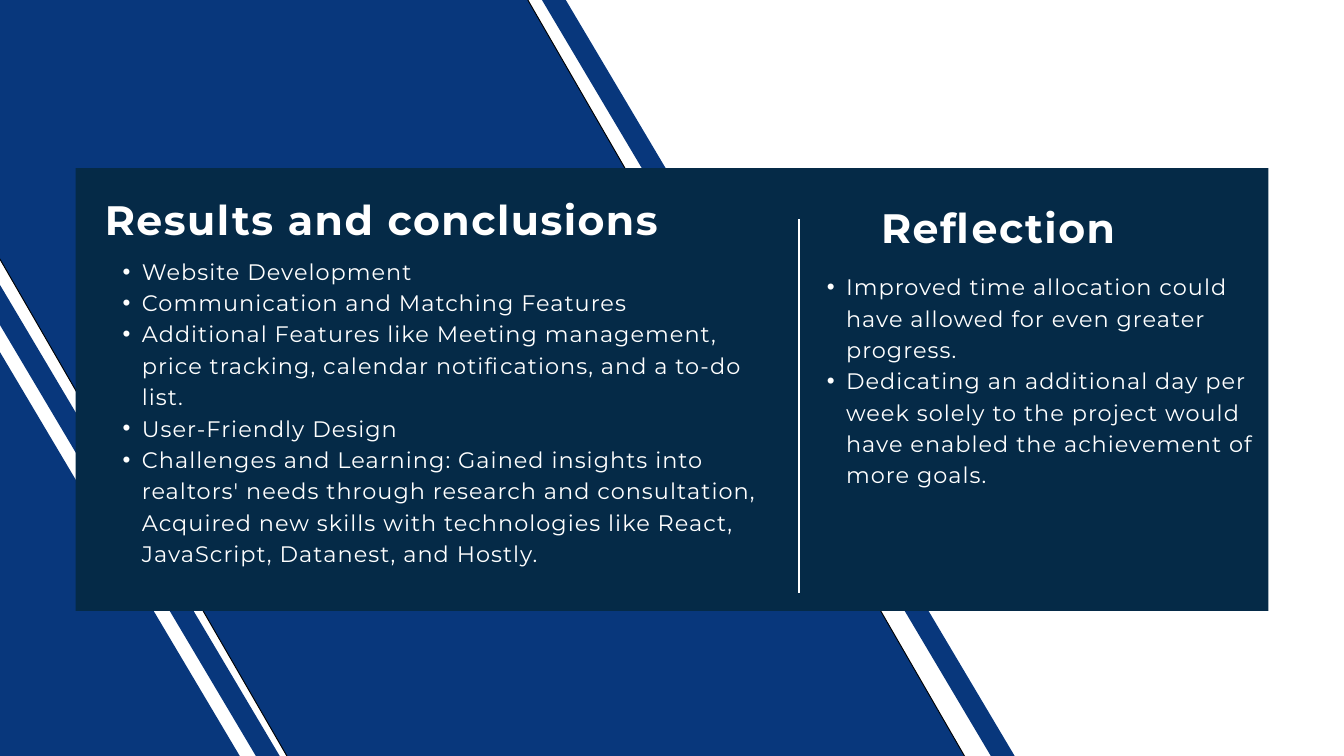
from pptx import Presentation
from pptx.util import Pt
from pptx.dml.color import RGBColor as RGB
from pptx.enum.shapes import MSO_SHAPE as Kind, MSO_CONNECTOR as Link
from pptx.enum.text import MSO_ANCHOR as Anchor, MSO_AUTO_SIZE as Fit, PP_ALIGN as Align
from pptx.oxml.ns import qn
from lxml import etree

BLUE = RGB(0x08, 0x37, 0x7C)
NAVY = RGB(0x05, 0x2A, 0x47)
WHITE = RGB(0xFF, 0xFF, 0xFF)
BLACK = RGB(0, 0, 0)

deck = Presentation()
deck.slide_width, deck.slide_height = Pt(1440), Pt(810)
slide = deck.slides.add_slide(deck.slide_layouts[3])
shapes = slide.shapes
title, left, right = slide.placeholders


def write(box, text, area, size, lead, gap, bold=False, bullet=False):
    box.left, box.top, box.width, box.height = [Pt(n) for n in area]
    frame = box.text_frame
    frame.margin_left = frame.margin_top = frame.margin_right = frame.margin_bottom = 0
    frame.word_wrap = True
    frame.auto_size = Fit.SHAPE_TO_FIT_TEXT
    frame.vertical_anchor = Anchor.TOP
    frame.text = text
    for para in frame.paragraphs:
        para.alignment = Align.LEFT
        para.line_spacing = Pt(lead)
        para.space_before = Pt(0)
        if bullet:
            para.level = 1
            props = para._p.get_or_add_pPr()
            props.set("marL", str(Pt(41)))
            props.set("indent", str(Pt(-20.5)))
            etree.SubElement(props, qn("a:buFont")).set("typeface", "Arial")
            etree.SubElement(props, qn("a:buChar")).set("char", "•")
        for run in para.runs:
            font = run.font
            font.name, font.size, font.bold = "Montserrat", Pt(size), bold
            font.color.rgb = WHITE
            run._r.get_or_add_rPr().set("spc", str(gap))


def block(area, fill, turn=0):
    rect = shapes.add_shape(Kind.RECTANGLE, *[Pt(n) for n in area])
    rect.shadow.inherit = False
    rect.rotation = turn
    rect.fill.solid()
    rect.fill.fore_color.rgb = fill
    rect.line.fill.background()


TILT = 329.3
block((119.5, -36, 22, 1165), BLUE, TILT)
block((-319, 97.2, 461, 1165), BLUE, TILT)

pen = shapes.build_freeform(Pt(-163), Pt(-4.5))
pen.add_line_segments([(Pt(x), Pt(y)) for x, y in
                       ((563, -4.5), (1036, 814.5), (310, 814.5))])
band = pen.convert_to_shape()
band.shadow.inherit = False
band.fill.solid()
band.fill.fore_color.rgb = BLUE
band.line.color.rgb = BLACK
band.line.width = Pt(1)

block((817.2, -187.2, 22, 1165), BLUE, TILT)
block((81, 180, 1278, 474.5), NAVY)

rule = shapes.add_connector(Link.STRAIGHT, Pt(856), Pt(635), Pt(856), Pt(234.7))
rule.line.color.rgb = WHITE
rule.line.width = Pt(3)
etree.SubElement(rule._element.spPr, qn("a:effectLst"))

HEAD = dict(size=44, lead=52.8, gap=160, bold=True)
LIST = dict(size=24, lead=33.6, gap=110, bullet=True)

results = [
    "Website Development",
    "Communication and Matching Features",
    "Additional Features like Meeting management, price tracking, "
    "calendar notifications, and a to-do list.",
    "User-Friendly Design",
    "Challenges and Learning: Gained insights into realtors' needs through "
    "research and consultation, Acquired new skills with technologies like "
    "React, JavaScript, Datanest, and Hostly.",
]
lessons = [
    "Improved time allocation could have allowed for even greater progress.",
    "Dedicating an additional day per week solely to the project would have "
    "enabled the achievement of more goals.",
]

tree = title.element.getparent()
for item in (left, title, right):
    tree.append(item.element)
write(left, "\n".join(results), (111, 271.5, 718, 361.5), **LIST)
write(title, "Results and conclusions", (112.3, 208, 744.5, 52.6), **HEAD)
write(right, "\n".join(lessons), (865.5, 288, 494, 328.3), **LIST)
label = shapes.add_textbox(0, 0, 0, 0)
write(label, "Reflection", (944, 216.7, 347, 52.6), **HEAD)

deck.save("out.pptx")
